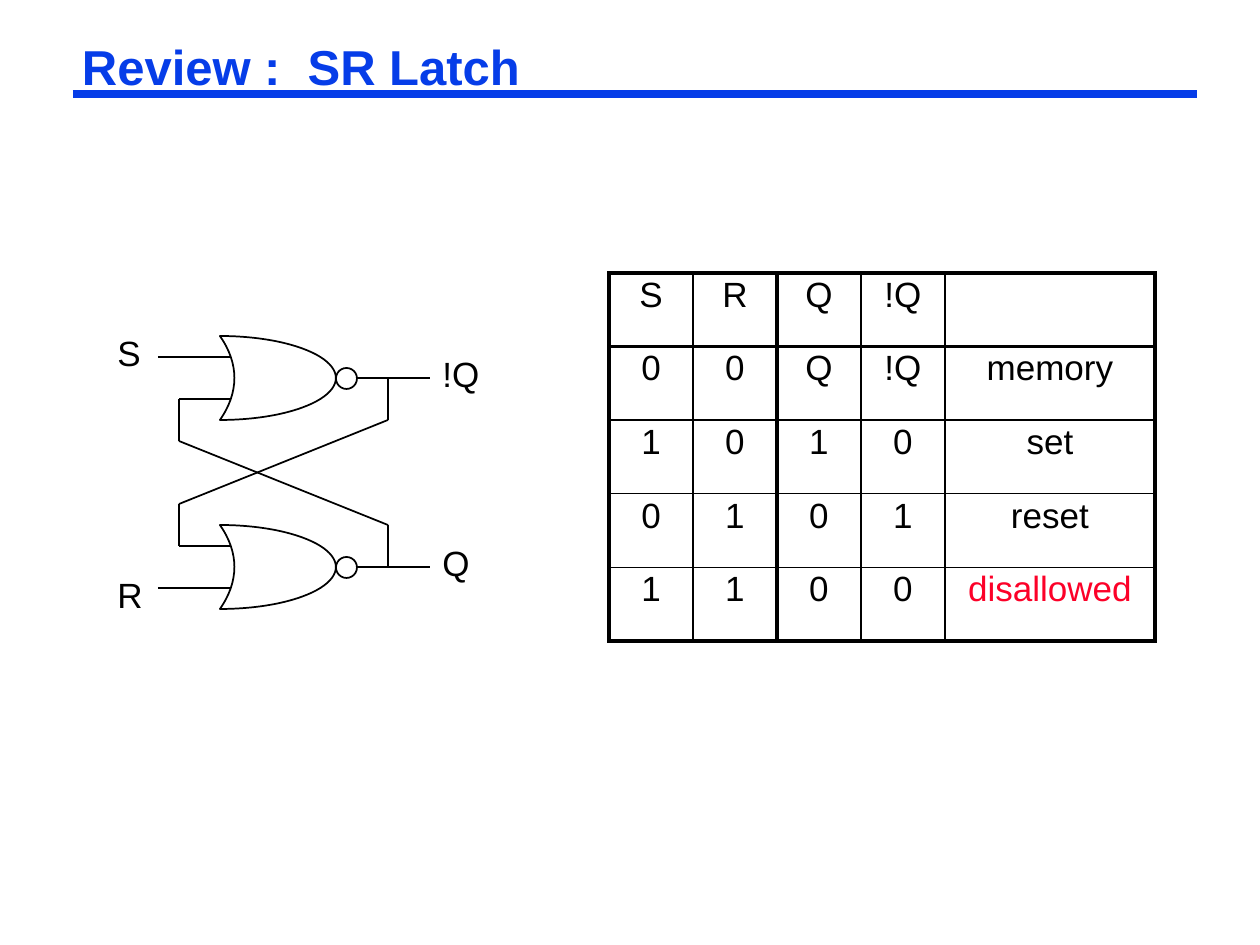
"""Build the SR latch review slide: title, latch circuit and truth table."""
from lxml import etree
from pptx import Presentation
from pptx import util as u
from pptx.dml import color
from pptx.enum import shapes, text
from pptx.oxml import ns

EMU_PER_PX = 914400 / 126
COLORS = {"blue": "063DE8", "black": "000000", "red": "FC0128"}
BODY = {"size": u.Pt(20), "name": "Arial", "bold": False}
HEADING = {"size": u.Pt(28), "name": "Arial", "bold": True}
THIN, HEAVY = 1, 2.25
TRUTH = [
    ["S", "R", "Q", "!Q", ""],
    ["0", "0", "Q", "!Q", "memory"],
    ["1", "0", "1", "0", "set"],
    ["0", "1", "0", "1", "reset"],
    ["1", "1", "0", "0", "disallowed"],
]


def px(n):
    return u.Emu(round(n * EMU_PER_PX))


def box(*lengths):
    return [px(n) for n in lengths]


def rgb(name):
    return color.RGBColor.from_string(COLORS[name])


def set_attrs(obj, values):
    for key, value in values.items():
        setattr(obj, key, value)


def write(p, words, font, ink="black"):
    r = p.add_run()
    r.text = words
    set_attrs(r.font, font)
    r.font.color.rgb = rgb(ink)


def add_line(s, start, end, ink="black", width=THIN):
    line = s.shapes.add_connector(shapes.MSO_CONNECTOR.STRAIGHT, *box(*start, *end))
    line.line.color.rgb = rgb(ink)
    line.line.width = u.Pt(width)
    etree.SubElement(line._element.spPr, ns.qn("a:effectLst"))


def add_title(s, words):
    sp = s.shapes.title
    set_attrs(sp, dict(zip(("left", "top", "width", "height"), box(73, 41, 1124, 58))))
    tf = sp.text_frame
    set_attrs(tf, {"margin_left": px(9), "margin_right": px(9),
                   "margin_top": px(4), "margin_bottom": px(4),
                   "word_wrap": True, "vertical_anchor": text.MSO_ANCHOR.TOP,
                   "auto_size": text.MSO_AUTO_SIZE.SHAPE_TO_FIT_TEXT})
    p = tf.paragraphs[0]
    set_attrs(p, {"alignment": text.PP_ALIGN.LEFT, "line_spacing": 0.87})
    write(p, words, HEADING, "blue")


def add_label(s, words, left, top, width):
    tf = s.shapes.add_textbox(*box(left, top, width, 54)).text_frame
    set_attrs(tf, {"word_wrap": False,
                   "auto_size": text.MSO_AUTO_SIZE.SHAPE_TO_FIT_TEXT})
    write(tf.paragraphs[0], words, BODY)


def add_outline(group, kind, *place):
    sp = group.shapes.add_shape(kind, *box(*place))
    sp.shadow.inherit = False
    sp.fill.background()
    sp.line.color.rgb = rgb("black")
    sp.line.width = u.Pt(THIN)
    return sp


def add_nor_gate(s, top):
    group = s.shapes.add_group_shape()
    body = add_outline(group, shapes.MSO_SHAPE.MOON, 220, top, 116, 84)
    body.adjustments[0] = 0.875
    body._element.spPr.xfrm.set("flipH", "1")
    add_outline(group, shapes.MSO_SHAPE.OVAL, 336, top + 32, 21, 21)


def add_circuit(s):
    for top in (336, 525):
        add_nor_gate(s, top)
        add_line(s, (357, top + 42), (430, top + 42))
    for y in (357, 588):
        add_line(s, (158, y), (231, y))
    for gate_y, bend_y, out_y, out_bend_y in ((399, 441, 567, 525),
                                              (546, 504, 378, 420)):
        corners = [(231, gate_y), (179, gate_y), (179, bend_y),
                   (388, out_bend_y), (388, out_y)]
        for start, end in zip(corners, corners[1:]):
            add_line(s, start, end)
    for label in (("S", 105, 325, 49), ("R", 105, 567, 50),
                  ("Q", 430, 535, 53), ("!Q", 430, 346, 62)):
        add_label(s, *label)


def set_borders(cell, widths):
    tc_pr = cell._tc.get_or_add_tcPr()
    for i, (side, width) in enumerate(widths.items()):
        ln = etree.Element(ns.qn("a:ln" + side), w=str(u.Pt(width)))
        fill = etree.SubElement(ln, ns.qn("a:solidFill"))
        etree.SubElement(fill, ns.qn("a:srgbClr"), val=COLORS["black"])
        tc_pr.insert(i, ln)


def set_space_before(p, percent):
    p.space_before = u.Pt(0)
    spacing = p._p.pPr.find(ns.qn("a:spcBef"))
    spacing.remove(spacing[0])
    etree.SubElement(spacing, ns.qn("a:spcPct"), val=str(percent * 1000))


def fill_cell(cell, words):
    cell.fill.background()
    p = cell.text_frame.paragraphs[0]
    set_attrs(p, {"alignment": text.PP_ALIGN.CENTER, "line_spacing": 0.9})
    set_space_before(p, 65)
    if words:
        write(p, words, BODY, "red" if words == "disallowed" else "black")


def add_truth_table(s):
    rows, cols = len(TRUTH), len(TRUTH[0])
    frame = s.shapes.add_table(rows, cols, *box(609, 273, 546, 368))
    table = frame.table
    set_attrs(table, {"first_row": False, "horz_banding": False})
    for column, width in zip(table.columns, (84, 84, 84, 84, 210)):
        column.width = px(width)
    for row in table.rows:
        row.height = px(368) // rows
    heavy_x, heavy_y = {0, 2, cols}, {0, 1, rows}
    for y, line in enumerate(TRUTH):
        for x, words in enumerate(line):
            cell = table.cell(y, x)
            fill_cell(cell, words)
            edges = {"L": x in heavy_x, "R": x + 1 in heavy_x,
                     "T": y in heavy_y, "B": y + 1 in heavy_y}
            set_borders(cell, {k: HEAVY if v else THIN for k, v in edges.items()})


def main():
    prs = Presentation()
    set_attrs(prs, {"slide_width": px(1260), "slide_height": px(945)})
    s = prs.slides.add_slide(prs.slide_layouts[5])
    add_line(s, (73, 94), (1197, 94), "blue", 4.5)
    add_title(s, "Review :  SR Latch")
    add_truth_table(s)
    add_circuit(s)
    prs.save("out.pptx")


main()
